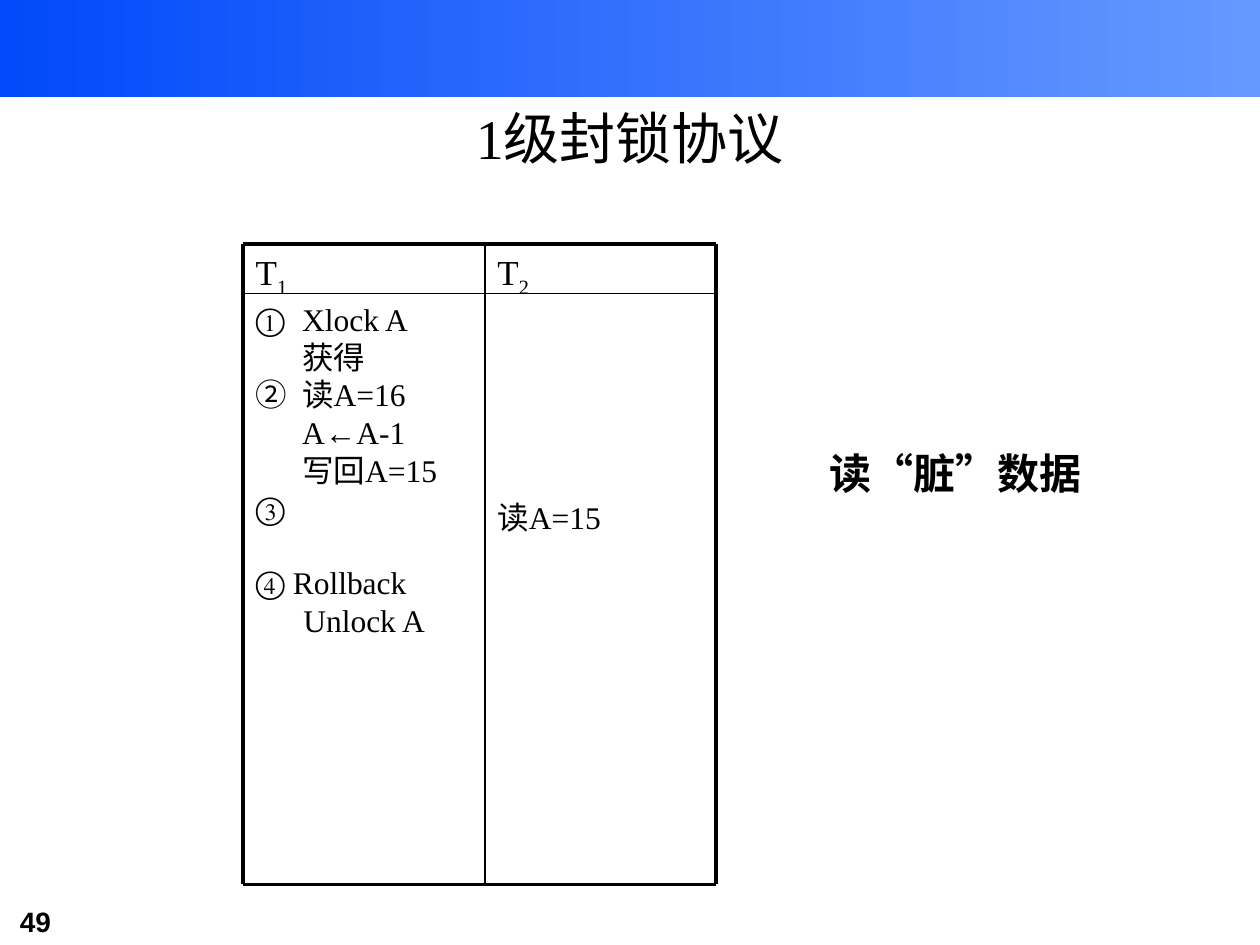
from pptx import Presentation
from pptx.dml.color import RGBColor
from pptx.enum.shapes import MSO_CONNECTOR as CONN, MSO_SHAPE as SHAPE
from pptx.enum.text import MSO_ANCHOR as ANCHOR, PP_ALIGN as ALIGN
from pptx.oxml.ns import qn
from pptx.util import Inches, Pt
from lxml import etree

COLORS = {"ink": "000000", "band_start": "0249FA", "band_end": "6699FF"}


class SlideBuilder:
    font = "Times New Roman"

    def __init__(self, slide):
        self.slide = slide

    def color(self, name):
        return RGBColor.from_string(COLORS[name])

    def band(self, x, y, w, h):
        sp = self.slide.shapes.add_shape(SHAPE.RECTANGLE, Inches(x), Inches(y), Inches(w), Inches(h))
        sp.shadow.inherit = False
        sp.line.fill.background()
        sp.fill.gradient()
        sp.fill.gradient_angle = 0
        for stop, name, pos in zip(sp.fill.gradient_stops, ("band_start", "band_end"), (0, 1)):
            stop.color.rgb = self.color(name)
            stop.position = pos

    def text(self, x, y, w, h, lines, size, align=ALIGN.LEFT, bold=False, font=None,
             anchor=ANCHOR.TOP, top=0.05, wrap=True):
        sp = self.slide.shapes.add_textbox(Inches(x), Inches(y), Inches(w), Inches(h))
        tf = sp.text_frame
        tf.word_wrap = wrap
        tf.vertical_anchor = anchor
        tf.margin_top = Inches(top)
        tf.text = "\n".join(lines)
        for p in tf.paragraphs:
            p.alignment = align
            for r in p.runs:
                r.font.name = font or self.font
                r.font.size = Pt(size)
                r.font.bold = bold
                r.font.color.rgb = self.color("ink")
        return tf

    def header(self, x, y, w, h, number):
        tf = self.text(x, y, w, h, ["T"], 20)
        r = tf.paragraphs[0].add_run()
        r.text = number
        r.font.name = self.font
        r.font.size = Pt(20)
        r.font.color.rgb = self.color("ink")
        r.font._element.set("baseline", "-25000")

    def indent(self, p, left, first):
        pPr = p._p.get_or_add_pPr()
        pPr.set("marL", str(Inches(left)))
        pPr.set("indent", str(Inches(first)))

    def line(self, x1, y1, x2, y2, width):
        ln = self.slide.shapes.add_connector(CONN.STRAIGHT, Inches(x1), Inches(y1), Inches(x2), Inches(y2))
        ln.line.color.rgb = self.color("ink")
        ln.line.width = Pt(width)
        etree.SubElement(ln._element.spPr, qn("a:effectLst"))


def main():
    prs = Presentation()
    prs.slide_width, prs.slide_height = Inches(10), Inches(7.5)
    s = SlideBuilder(prs.slides.add_slide(prs.slide_layouts[6]))

    # Band, page number and title
    s.band(0, 0, 10, 0.77)
    s.text(0.06, 7.13, 1.22, 0.37, ["49"], 16, bold=True, font="Arial")
    s.text(0.75, 0.67, 8.5, 0.83, ["1级封锁协议"], 32, ALIGN.CENTER, anchor=ANCHOR.MIDDLE)

    # Schedule of the two transactions
    xs, ys = (1.93, 3.85, 5.68), (1.94, 2.33, 7.02)
    left_w, right_w = xs[1] - xs[0], xs[2] - xs[1]
    body_h = ys[2] - ys[1]
    s.text(xs[1], ys[1], right_w, body_h, ["读A=15"], 18, ALIGN.JUSTIFY, top=1.62)
    steps = ["①\tXlock A", "获得", "②\t读A=16", "A←A-1", "写回A=15", "③", "④ Rollback", "Unlock A"]
    tf = s.text(xs[0], ys[1], left_w, body_h, steps, 18, ALIGN.JUSTIFY)
    *body, rollback, unlock = tf.paragraphs
    for p in body:
        s.indent(p, 0.37, -0.37 if p.text[0] in "①②③" else 0)
    rollback.space_before = Pt(21)
    unlock.alignment = ALIGN.CENTER
    s.header(xs[1], ys[0], right_w, ys[1] - ys[0], "2")
    s.header(xs[0], ys[0], left_w, ys[1] - ys[0], "1")

    # Grid: thick frame, thin inner rules
    for y, width in zip(ys, (2.25, 1, 2.25)):
        s.line(xs[0], y, xs[2], y, width)
    for x, width in zip(xs, (2.25, 1, 2.25)):
        s.line(x, ys[0], x, ys[2], width)

    # Anomaly label
    s.text(6.17, 3.42, 2.83, 0.67, ["读“脏”数据"], 24, ALIGN.CENTER, bold=True,
           anchor=ANCHOR.MIDDLE, wrap=False)

    prs.save("out.pptx")


if __name__ == "__main__":
    main()
